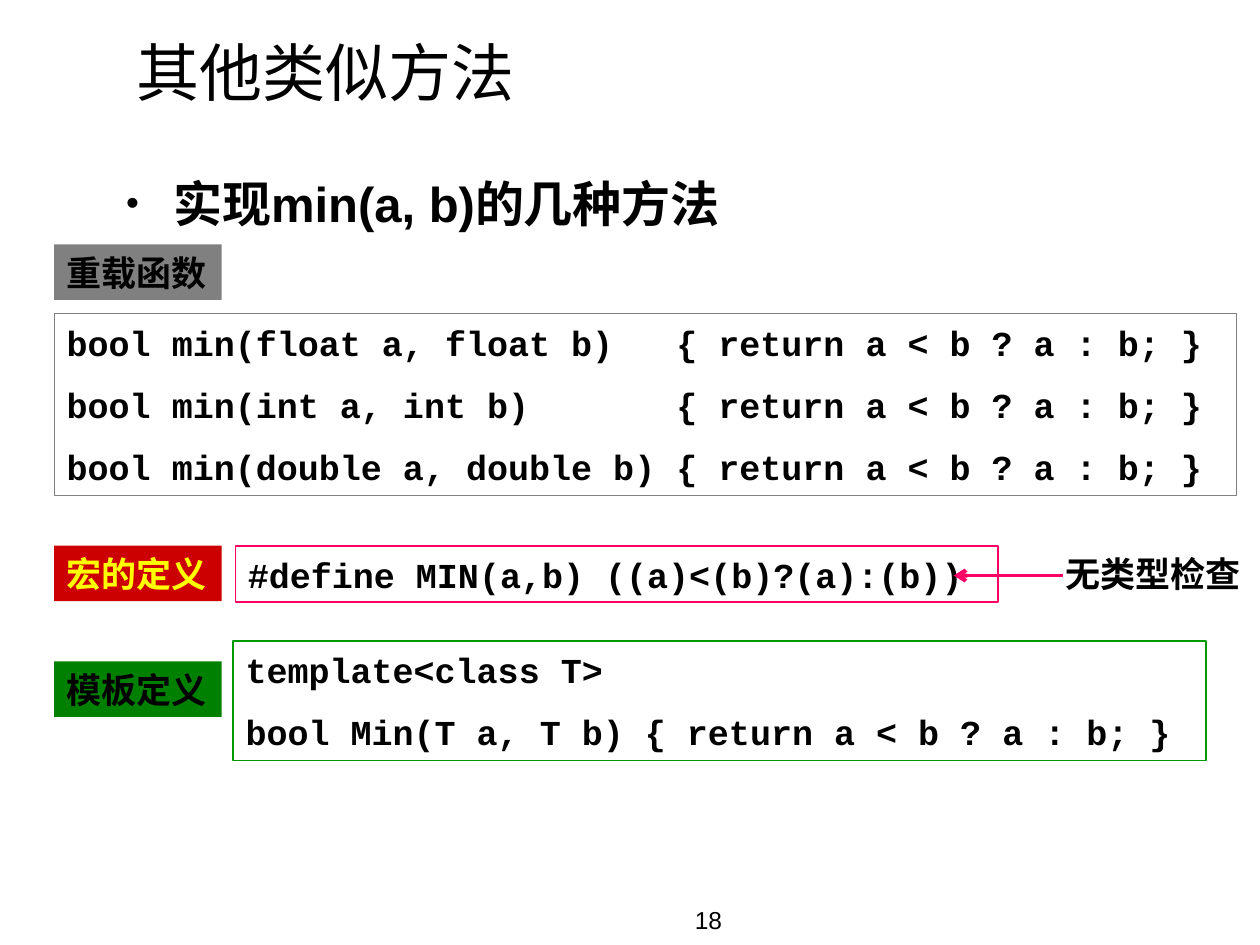
from pptx import Presentation
from pptx.dml.color import RGBColor
from pptx.enum.shapes import MSO_CONNECTOR as CONN, MSO_SHAPE as SHAPE
from pptx.enum.text import MSO_ANCHOR as ANCHOR, MSO_AUTO_SIZE as AUTO, PP_ALIGN as ALIGN
from pptx.oxml.ns import qn
from pptx.util import Pt
from lxml.etree import SubElement

# Content
TITLE = "其他类似方法"
BULLET = "实现min(a, b)的几种方法"
PAGE = "18"
BODY = "{ return a < b ? a : b; }"
SIGNATURES = ["bool min(float a, float b)", "bool min(int a, int b)",
              "bool min(double a, double b)"]
SIG_WIDTH = max(map(len, SIGNATURES))
OVERLOADS = [f"{sig:<{SIG_WIDTH}} {BODY}" for sig in SIGNATURES]
MACRO = ["#define MIN(a,b) ((a)<(b)?(a):(b))"]
TEMPLATE = ["template<class T>", f"bool Min(T a, T b) {BODY}"]

# Labels: text, top, fill, text colour
LEFT, LABEL_W, LABEL_H = 31, 95.76, 31.7
LABELS = [("重载函数", 139.7, "808080", "000000"),
          ("宏的定义", 311.8, "CC0000", "FFFF00"),
          ("模板定义", 378, "008000", "000000")]

# Code boxes: lines, (left, top, width, height), outline, outline width
CODE_BOXES = [(OVERLOADS, (LEFT, 179.3, 675.4, 103.9), "808080", 0.75),
              (TEMPLATE, (133.2, 366.2, 555.8, 68.4), "009900", 1),
              (MACRO, (134.5, 311.8, 435.6, 32.4), "FF0066", 1)]
NOTE, NOTE_BOX = "无类型检查", (601.9, 311.8, 115.2, 31.7)
ARROW_TIP, ARROW_TAIL, ARROW_Y = 545, 607.7, 328.9


def rgb(hex_code):
    return RGBColor.from_string(hex_code)


def place(shape, box):
    shape.left, shape.top, shape.width, shape.height = map(Pt, box)


def add_run(p, text, size, font="Arial", bold=False, color="000000"):
    r = p.add_run()
    r.text = text
    r.font.size, r.font.name, r.font.bold = Pt(size), font, bold
    r.font.color.rgb = rgb(color)


def write_code(shape, lines, color="000000"):
    tf = shape.text_frame
    tf.word_wrap, tf.auto_size = False, AUTO.NONE
    tf.vertical_anchor = ANCHOR.MIDDLE
    for i, line in enumerate(lines):
        p = tf.add_paragraph() if i else tf.paragraphs[0]
        p.alignment = ALIGN.LEFT
        p.space_before = Pt(11.3 if i else 0)
        add_run(p, line, 20, "Courier New", True, color)


def add_box(s, box, lines, fill=None, line=None, width=1, color="000000"):
    sp = s.shapes.add_shape(SHAPE.RECTANGLE, *map(Pt, box))
    sp.shadow.inherit = False
    if fill:
        sp.fill.solid()
        sp.fill.fore_color.rgb = rgb(fill)
    else:
        sp.fill.background()
    if line:
        sp.line.color.rgb = rgb(line)
        sp.line.width = Pt(width)
    else:
        sp.line.fill.background()
    write_code(sp, lines, color)


prs = Presentation()
prs.slide_width, prs.slide_height = Pt(720), Pt(540)
s = prs.slides.add_slide(prs.slide_layouts[1])

# Title
title = s.shapes.title
place(title, (70.6, 9.4, 668.9, 62.6))
title.text_frame.auto_size = AUTO.NONE
title.text_frame.vertical_anchor = ANCHOR.MIDDLE
p = title.text_frame.paragraphs[0]
p.alignment = ALIGN.LEFT
add_run(p, TITLE, 36)

# Bullet
body = s.placeholders[1]
place(body, (64.8, 88.6, 623.5, 414))
body.text_frame.auto_size = AUTO.NONE
p = body.text_frame.paragraphs[0]
p.line_spacing, p.space_before = 1.2, Pt(6)
add_run(p, BULLET, 28, bold=True)
pPr = p._p.get_or_add_pPr()
pPr.set("marL", str(Pt(27)))
pPr.set("indent", str(Pt(-27)))
SubElement(pPr, qn("a:buSzPct")).set("val", "75000")
SubElement(pPr, qn("a:buChar")).set("char", "•")

# Page number
page = s.shapes.add_textbox(*map(Pt, (303.8, 513.4, 115.9, 26.6)))
page.text_frame.word_wrap = True
p = page.text_frame.paragraphs[0]
p.alignment = ALIGN.RIGHT
add_run(p, PAGE, 14)

# Code boxes and their labels
for lines, box, outline, width in CODE_BOXES:
    add_box(s, box, lines, line=outline, width=width)
for text, top, fill, color in LABELS:
    add_box(s, (LEFT, top, LABEL_W, LABEL_H), [text], fill=fill, color=color)

# Note with its arrow
write_code(s.shapes.add_textbox(*map(Pt, NOTE_BOX)), [NOTE])
arrow = s.shapes.add_connector(
    CONN.STRAIGHT, *map(Pt, (ARROW_TIP, ARROW_Y, ARROW_TAIL, ARROW_Y)))
arrow.line.color.rgb = rgb("FF0066")
arrow.line.width = Pt(2.25)
SubElement(arrow.line._get_or_add_ln(), qn("a:headEnd")).set("type", "arrow")
SubElement(arrow._element.spPr, qn("a:effectLst"))

prs.save("out.pptx")
